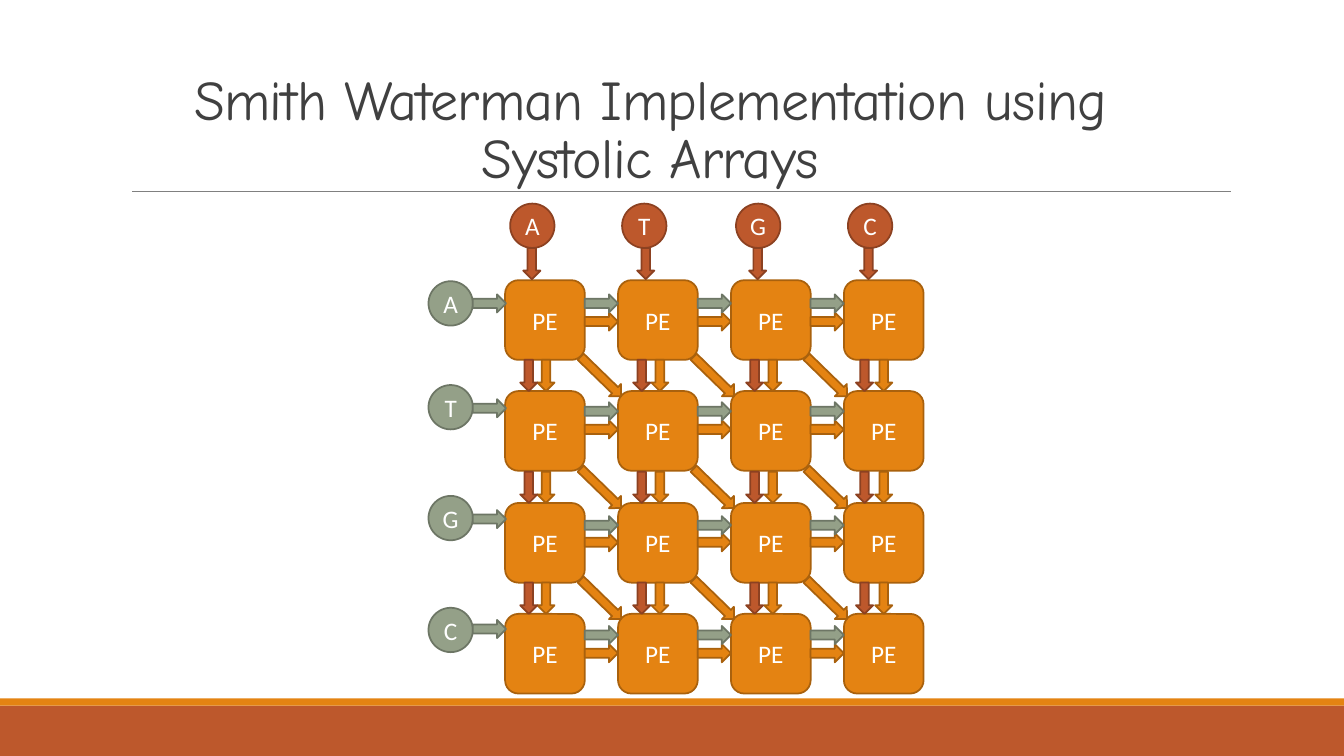
import pptx
import pptx.dml.color
import pptx.enum.shapes
import pptx.enum.text
import pptx.oxml.ns
import pptx.util
from dataclasses import dataclass
from lxml import etree

SHAPE = pptx.enum.shapes.MSO_SHAPE
ALIGN = pptx.enum.text.PP_ALIGN
ANCHOR = pptx.enum.text.MSO_ANCHOR
EMU_PER_PX = 9144  # 100 px to the inch


@dataclass(frozen=True)
class Theme:
    # Each pair is a fill and its outline
    orange: tuple = ("E48312", "A9610D")
    rust: tuple = ("BD582C", "8C4121")
    sage: tuple = ("94A088", "6D7665")
    heading: str = "404040"
    rule: str = "808080"
    white: str = "FFFFFF"
    heading_font: str = "Comic Neue"
    body_font: str = "Calibri"
    heading_size: int = 40
    label_size: int = 18
    outline: float = 1.25


def px(length):
    return pptx.util.Emu(length * EMU_PER_PX)


def rgb(value):
    return pptx.dml.color.RGBColor.from_string(value)


class SystolicSlide:
    def __init__(self, deck, theme):
        self.theme = theme
        self.slide = deck.slides.add_slide(deck.slide_layouts[5])

    def centred_run(self, paragraph, text, font, size, color):
        paragraph.alignment = ALIGN.CENTER
        run = paragraph.add_run()
        run.text = text
        run.font.name = font
        run.font.size = pptx.util.Pt(size)
        run.font.color.rgb = rgb(color)
        return run

    def title(self, text, left, top, width, height):
        heading = self.slide.shapes.title
        heading.left, heading.top = px(left), px(top)
        heading.width, heading.height = px(width), px(height)
        frame = heading.text_frame
        frame.word_wrap = True
        frame.auto_size = pptx.enum.text.MSO_AUTO_SIZE.NONE
        frame.vertical_anchor = ANCHOR.BOTTOM
        paragraph = frame.paragraphs[0]
        paragraph.line_spacing = 0.85
        run = self.centred_run(paragraph, text, self.theme.heading_font,
                               self.theme.heading_size, self.theme.heading)
        run._r.get_or_add_rPr().set("spc", "-50")

    def rule(self, left, right, y):
        line = self.slide.shapes.add_connector(
            pptx.enum.shapes.MSO_CONNECTOR.STRAIGHT, px(left), px(y), px(right), px(y))
        line.line.color.rgb = rgb(self.theme.rule)
        line.line.width = pptx.util.Pt(0.5)
        etree.SubElement(line._element.spPr, pptx.oxml.ns.qn("a:effectLst"))

    def shape(self, kind, left, top, width, height, colors, outlined=True):
        item = self.slide.shapes.add_shape(kind, px(left), px(top), px(width), px(height))
        item.shadow.inherit = False
        fill, outline = colors
        item.fill.solid()
        item.fill.fore_color.rgb = rgb(fill)
        if outlined:
            item.line.color.rgb = rgb(outline)
            item.line.width = pptx.util.Pt(self.theme.outline)
        else:
            item.line.fill.background()
        return item

    def node(self, kind, text, left, top, size, colors):
        frame = self.shape(kind, left, top, size, size, colors).text_frame
        frame.margin_left = frame.margin_right = 0
        frame.margin_top = frame.margin_bottom = 0
        frame.word_wrap = True
        frame.vertical_anchor = ANCHOR.MIDDLE
        self.centred_run(frame.paragraphs[0], text, self.theme.body_font,
                         self.theme.label_size, self.theme.white)

    def right_arrow(self, left, top, colors):
        self.shape(SHAPE.RIGHT_ARROW, left, top, 33, 18, colors)

    def down_arrow(self, left, top, colors):
        self.shape(SHAPE.DOWN_ARROW, left, top, 17, 31, colors)

    def diagonal_arrow(self, left, top, colors):
        self.shape(SHAPE.RIGHT_ARROW, left, top, 56, 17, colors).rotation = 44.2


def main():
    deck = pptx.Presentation()
    deck.slide_width, deck.slide_height = px(1333), px(750)
    theme = Theme()
    page = SystolicSlide(deck, theme)

    # Footer bands, heading and rule
    page.shape(SHAPE.RECTANGLE, 0, 700, 1333, 50, theme.rust, outlined=False)
    page.shape(SHAPE.RECTANGLE, 0, 693, 1333, 7, theme.orange, outlined=False)
    page.rule(131, 1221, 190)
    page.title("Smith Waterman Implementation using Systolic Arrays", 95, 34, 1100, 159)

    # Grid of processing elements
    bases = "ATGC"
    columns = [501 + 112 * c for c in range(4)]
    rows = [278, 388, 499, 609]
    gaps = [357, 468, 578]  # tops of the spaces between rows
    for top in rows:
        for left in columns:
            page.node(SHAPE.ROUNDED_RECTANGLE, "PE", left, top, 79, theme.orange)

    # Scores passed right, diagonally and down
    for top in (310, 417, 529, 639):
        for left in columns[:-1]:
            page.right_arrow(left + 79, top, theme.orange)
    for top in gaps:
        for left in columns[:-1]:
            page.diagonal_arrow(left + 67, top + 8, theme.orange)
        for left in (533, 646, 758, 868):
            page.down_arrow(left, top, theme.orange)

    # Sequence fed from the top and passed down
    for base, circle, feed, stream in zip(
            bases, (506, 617, 730, 841), (519, 632, 743, 853), (516, 628, 740, 849)):
        page.node(SHAPE.OVAL, base, circle, 202, 44, theme.rust)
        page.down_arrow(feed, 246, theme.rust)
        for top in gaps:
            page.down_arrow(stream, top, theme.rust)

    # Sequence fed from the left and passed right
    for base, circle, feed, stream in zip(
            bases, (279, 382, 492, 603), (292, 396, 506, 615), (292, 399, 512, 621)):
        page.node(SHAPE.OVAL, base, 425, circle, 44, theme.sage)
        page.right_arrow(469, feed, theme.sage)
        for left in columns[:-1]:
            page.right_arrow(left + 79, stream, theme.sage)

    deck.save("out.pptx")


if __name__ == "__main__":
    main()
